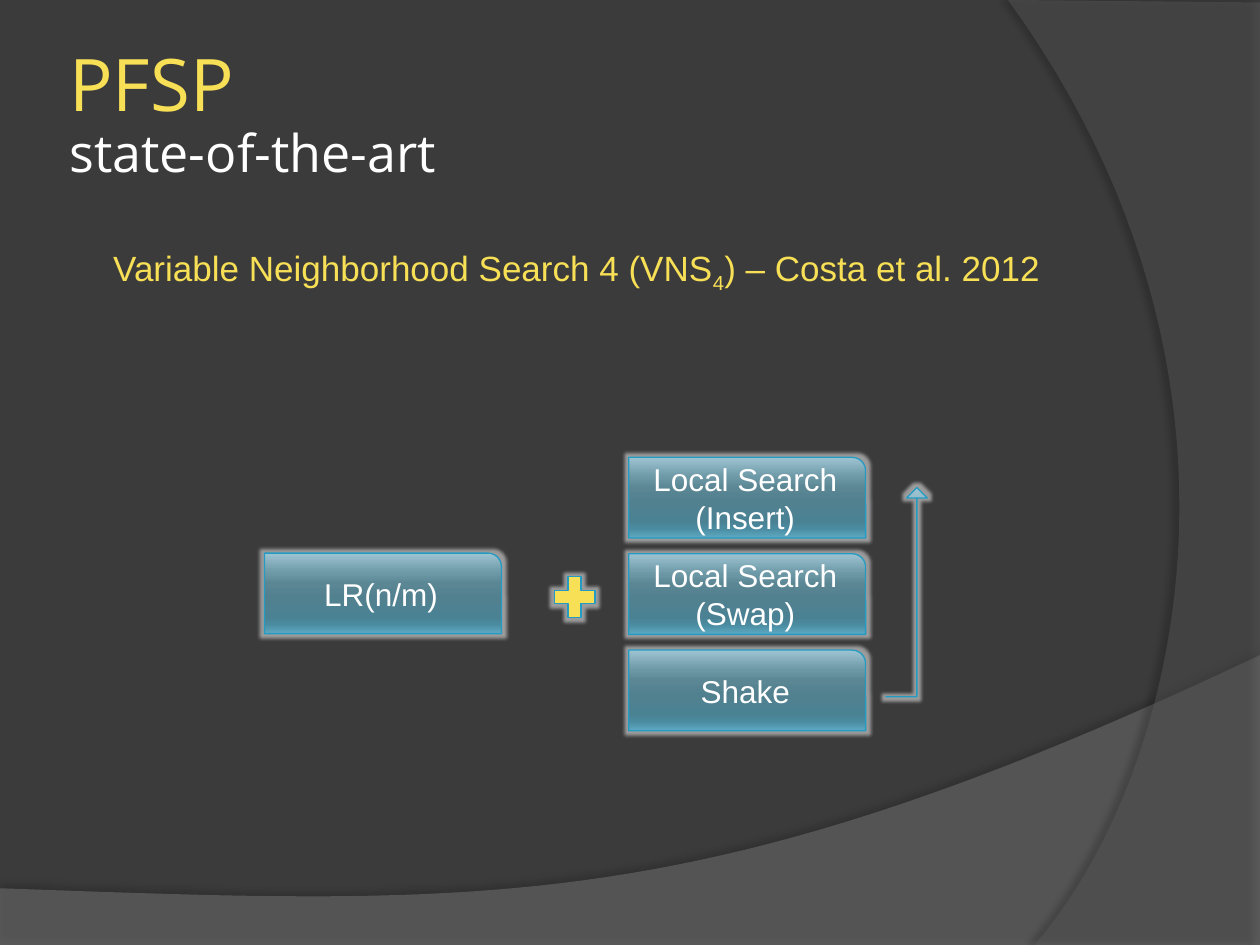
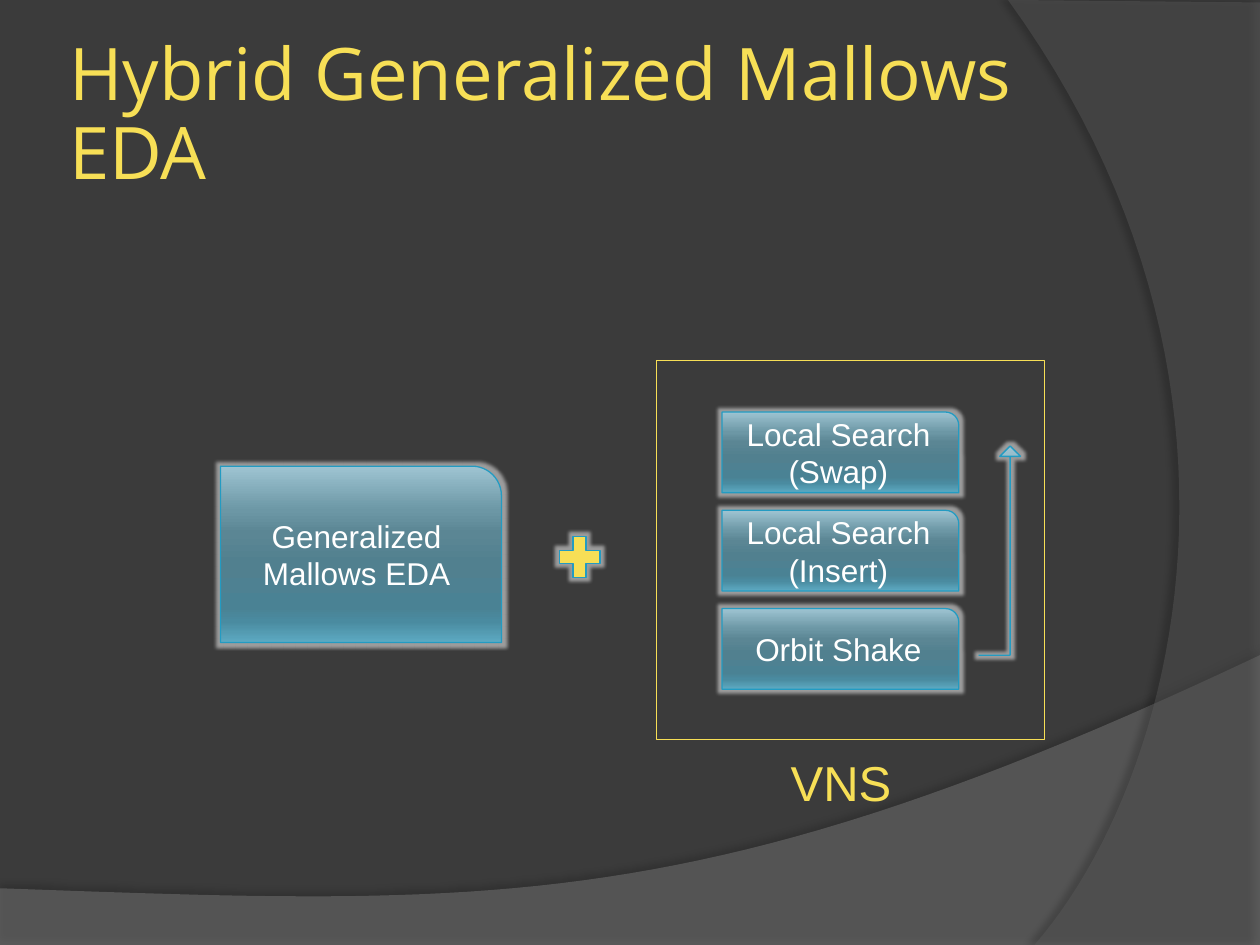
"""Builds two slides on hybrid search methods for the PFSP."""
from lxml import etree
from pptx import Presentation
from pptx.dml.color import RGBColor
from pptx.enum.shapes import MSO_SHAPE
from pptx.enum.text import MSO_ANCHOR, MSO_AUTO_SIZE, PP_ALIGN
from pptx.oxml.ns import qn
from pptx.util import Inches, Pt

CARD = MSO_SHAPE.ROUND_1_RECTANGLE
LOOP_ARROW = MSO_SHAPE.BENT_UP_ARROW
PLUS = MSO_SHAPE.MATH_PLUS
FRAME = MSO_SHAPE.RECTANGLE
MIDDLE = MSO_ANCHOR.MIDDLE
FIXED = MSO_AUTO_SIZE.NONE
GROW = MSO_AUTO_SIZE.SHAPE_TO_FIT_TEXT
LEFT, CENTER = PP_ALIGN.LEFT, PP_ALIGN.CENTER

COLORS = {
    "background": "3B3B3B",
    "lower_wave": "7F7F7F",
    "right_wave": "5E5E5E",
    "shadow": "000000",
    "accent": "F7DF56",
    "text": "FFFFFF",
    "outline": "239BC2",
}
GLOSS = [(0, "9EC4D2"), (25, "6C97A5"), (38, "5B8694"), (55, "51808F"),
         (80, "4A8294"), (88, "4A8BA0"), (100, "5DAAC2")]
TITLE_FONT, BODY_FONT = "Open Sans", "Arial"
CARD_WIDTH, CARD_HEIGHT = 1.88, 0.64


def rgb(name):
    """Return the named colour."""
    return RGBColor.from_string(COLORS[name])


def style_font(font, size, color, face=BODY_FONT):
    """Set the face, size and colour of a font."""
    font.name, font.size = face, Pt(size)
    font.color.rgb = rgb(color)


def add_alpha(color_element, percent):
    """Make a colour element partly transparent."""
    etree.SubElement(color_element, qn("a:alpha")).set("val", str(percent * 1000))


def add_effect(shape, kind, color, opacity, **settings):
    """Give a shape one shadow or glow effect."""
    shape.shadow.inherit = False
    effects = shape._element.spPr.find(qn("a:effectLst"))
    effect = etree.SubElement(effects, qn(kind))
    for key, value in settings.items():
        effect.set(key, str(value))
    tint = etree.SubElement(effect, qn("a:srgbClr"))
    tint.set("val", COLORS[color])
    add_alpha(tint, opacity)


def bezier(start, first, second, end, steps=48):
    """Return points along a cubic curve, without its start."""
    points = []
    for step in range(1, steps + 1):
        t = step / steps
        weights = ((1 - t) ** 3, 3 * t * (1 - t) ** 2, 3 * t * t * (1 - t), t ** 3)
        points.append(tuple(
            sum(w * p[axis] for w, p in zip(weights, (start, first, second, end)))
            for axis in (0, 1)))
    return points


def add_wave(slide, outline, color, opacity, shadow_opacity, distance, angle):
    """Draw a translucent wave and move it to the slide master."""
    points = [(Inches(x), Inches(y)) for x, y in outline]
    builder = slide.shapes.build_freeform(*points[0])
    builder.add_line_segments(points[1:], close=True)
    wave = builder.convert_to_shape()
    wave.fill.solid()
    wave.fill.fore_color.rgb = rgb(color)
    add_alpha(wave._element.spPr.find(".//" + qn("a:srgbClr")), opacity)
    wave.line.fill.background()
    add_effect(wave, "a:outerShdw", "shadow", shadow_opacity, blurRad=Pt(4),
               dist=Pt(distance), dir=angle * 60000, algn="ctr", rotWithShape=0)
    return wave


def decorate_master(prs, slide):
    """Set the shared background and both waves on the master."""
    master = prs.slide_master
    master.background.fill.solid()
    master.background.fill.fore_color.rgb = rgb("background")
    lower = [(0, 7.05), (0, 7.5), (10, 7.5), (10, 5.2)]
    lower += bezier((10, 5.2), (5.59, 7.29), (3.91, 7.19), (0, 7.05))
    right = [(10, 0.02), (10, 7.5), (8.21, 7.5)]
    right += bezier((8.21, 7.5), (9.35, 6.19), (10.18, 3), (8, 0))
    waves = [add_wave(slide, lower, "lower_wave", 45, 35, 3.5, 270),
             add_wave(slide, right, "right_wave", 40, 45, 4, 180)]
    for position, wave in enumerate(waves, start=2):
        master.shapes._spTree.insert(position, wave._element)


def set_title(slide, heading, subtitle=None):
    """Place and fill the title, with an optional smaller second line."""
    title = slide.shapes.title
    title.left, title.top = Inches(0.5), Inches(0.3)
    title.width, title.height = Inches(8.17), Inches(1.25)
    frame = title.text_frame
    frame.auto_size, frame.word_wrap = FIXED, True
    frame.vertical_anchor = MIDDLE
    frame.margin_left = frame.margin_right = Inches(0.05)
    frame.margin_top = frame.margin_bottom = Inches(0.05)
    paragraph = frame.paragraphs[0]
    paragraph.alignment, paragraph.line_spacing = LEFT, 0.9
    lines = [(heading, 41.4, "accent")]
    if subtitle:
        lines.append((subtitle, 29.7, "text"))
    for index, (words, size, color) in enumerate(lines):
        if index:
            paragraph.add_line_break()
        run = paragraph.add_run()
        run.text = words
        style_font(run.font, size, color, TITLE_FONT)


def add_outlined(slide, preset, left, top, width, height, line="outline"):
    """Add a preset shape with a thin outline."""
    shape = slide.shapes.add_shape(
        preset, Inches(left), Inches(top), Inches(width), Inches(height))
    shape.shadow.inherit = False
    shape.line.color.rgb = rgb(line)
    shape.line.width = Pt(0.75)
    return shape


def add_glow(shape):
    """Surround a shape with a pale glow."""
    add_effect(shape, "a:glow", "text", 50, rad=Pt(4))


def add_glossy(slide, preset, *box):
    """Add a glowing shape with the glossy blue gradient."""
    shape = add_outlined(slide, preset, *box)
    shape.fill.gradient()
    shape.fill.gradient_angle = 270
    stops = shape._element.spPr.find(".//" + qn("a:gsLst"))
    stops.clear()
    for percent, color in GLOSS:
        stop = etree.SubElement(stops, qn("a:gs"))
        stop.set("pos", str(percent * 1000))
        etree.SubElement(stop, qn("a:srgbClr")).set("val", color)
    add_glow(shape)
    return shape


def add_card(slide, label, left, top, width=CARD_WIDTH, height=CARD_HEIGHT):
    """Add a glossy card with a centred label."""
    frame = add_glossy(slide, CARD, left, top, width, height).text_frame
    frame.text, frame.vertical_anchor = label, MIDDLE
    frame.paragraphs[0].alignment = CENTER
    style_font(frame.paragraphs[0].font, 18, "text")


def add_loop(slide, labels, left, top, pitch, arrow_top):
    """Stack the steps of a search and add the arrow back to the first."""
    for index, label in enumerate(labels):
        add_card(slide, label, left, top + index * pitch)
    arrow = add_glossy(slide, LOOP_ARROW, left + 2.04, arrow_top, 0.33, 1.66)
    for index, value in enumerate((0, 0.25, 0.25)):
        arrow.adjustments[index] = value


def add_plus(slide, left, top):
    """Add the yellow plus sign."""
    plus = add_outlined(slide, PLUS, left, top, 0.44, 0.44)
    plus.fill.solid()
    plus.fill.fore_color.rgb = rgb("accent")
    add_glow(plus)


def add_caption(slide, parts, left, top, width, height, size, align=LEFT):
    """Add yellow text; every second part is a subscript."""
    box = slide.shapes.add_textbox(
        Inches(left), Inches(top), Inches(width), Inches(height))
    box.text_frame.word_wrap, box.text_frame.auto_size = True, GROW
    paragraph = box.text_frame.paragraphs[0]
    paragraph.alignment = align
    style_font(paragraph.font, size, "accent")
    for index, words in enumerate(parts):
        run = paragraph.add_run()
        run.text = words
        if index % 2:
            run._r.get_or_add_rPr().set("baseline", "-25000")


def build_state_of_the_art(slide):
    """Show the VNS4 method."""
    set_title(slide, "PFSP ", "state-of-the-art")
    add_card(slide, "LR(n/m)", 2.1, 4.39)
    add_loop(slide, ["Local Search (Insert)", "Local Search (Swap)", "Shake"],
             4.99, 3.63, 0.765, 3.87)
    add_plus(slide, 4.34, 4.52)
    add_caption(slide, ["Variable Neighborhood Search 4 (VNS", "4",
                        ") – Costa et al. 2012"], 0.8, 1.91, 7.75, 0.44, 20)


def build_hybrid(slide):
    """Show the hybrid of the Mallows EDA and VNS."""
    set_title(slide, "Hybrid Generalized Mallows EDA")
    add_card(slide, "Generalized Mallows EDA", 1.75, 3.7, 2.23, 1.4)
    add_plus(slide, 4.38, 4.2)
    add_outlined(slide, FRAME, 5.21, 2.86, 3.08, 3.01, "accent").fill.background()
    add_loop(slide, ["Local Search (Swap)", "Local Search (Insert)", "Orbit Shake"],
             5.73, 3.27, 0.78, 3.54)
    add_caption(slide, ["VNS"], 5.96, 5.92, 1.43, 0.57, 28, CENTER)


def main():
    """Build and save the presentation."""
    prs = Presentation()
    prs.slide_width, prs.slide_height = Inches(10), Inches(7.5)
    title_only = prs.slide_layouts[5]
    first, second = (prs.slides.add_slide(title_only) for _ in range(2))
    decorate_master(prs, first)
    build_state_of_the_art(first)
    build_hybrid(second)
    prs.save("out.pptx")


main()
